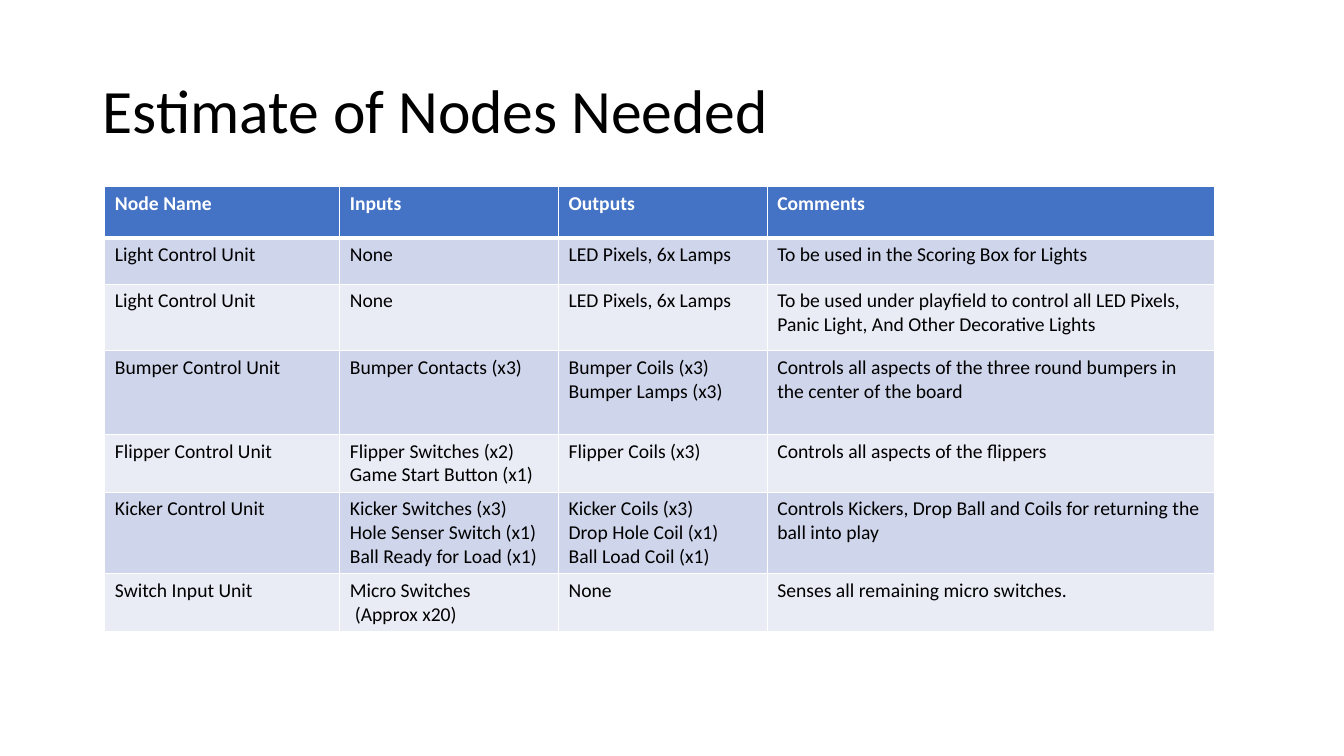
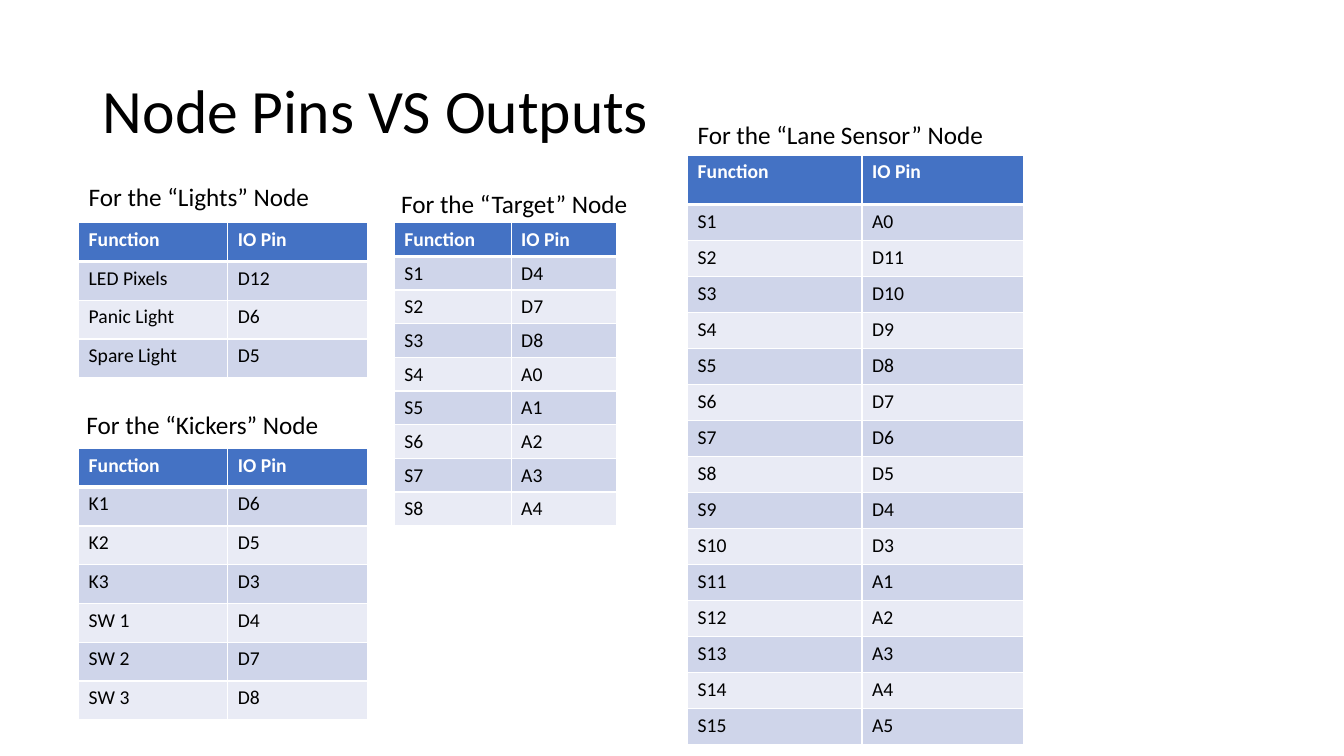
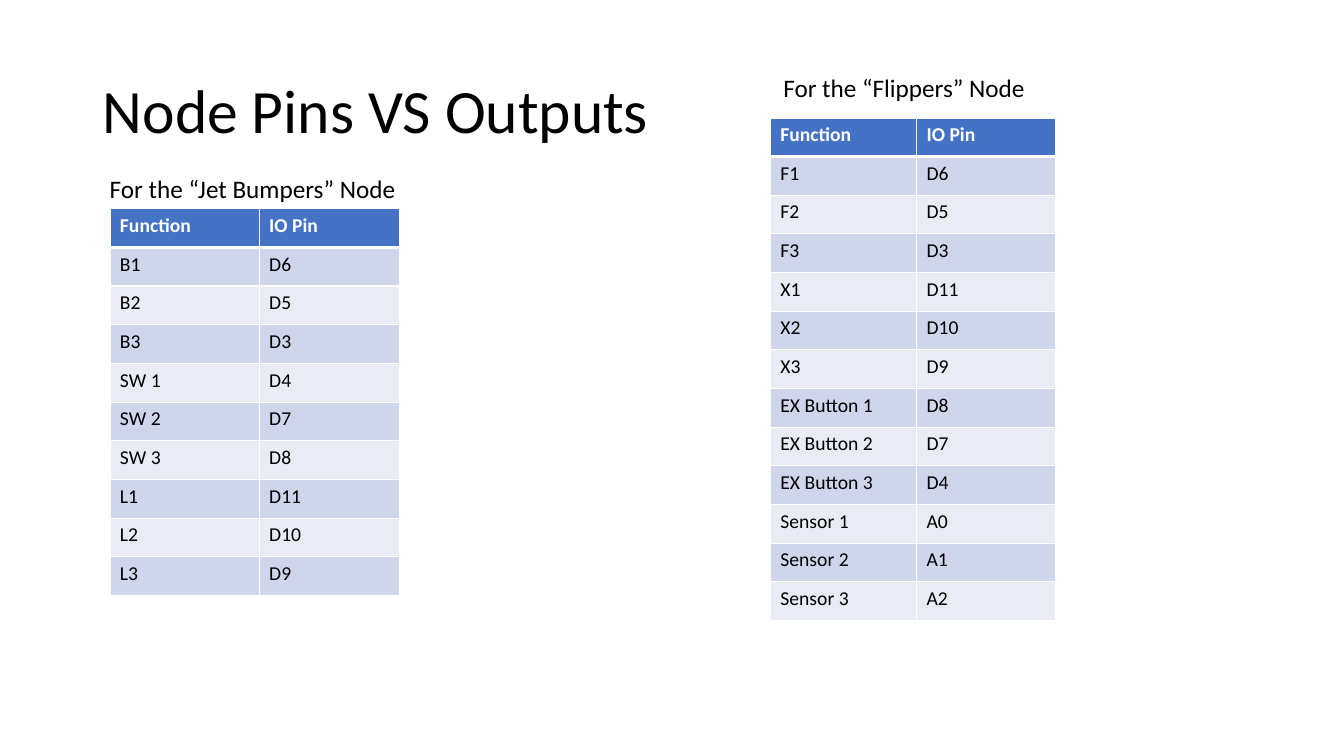
import pptx
import pptx.dml.color
import pptx.enum.text
import pptx.util
from lxml import etree
from pptx.oxml.ns import qn

Inches = pptx.util.Inches
Pt = pptx.util.Pt
RGBColor = pptx.dml.color.RGBColor

WHITE = RGBColor(0xFF, 0xFF, 0xFF)
BLACK = RGBColor(0x00, 0x00, 0x00)
HEADER_BLUE = RGBColor(0x44, 0x72, 0xC4)
BANDS = [RGBColor(0xE9, 0xEB, 0xF5), RGBColor(0xCF, 0xD5, 0xEA)]
FONT = "Calibri"
TITLE_BOX = (0.92, 0.4, 11.5, 1.45)
LABEL_HEIGHT = 0.4

NODE_COLUMNS = [2.33, 2.17, 2.07, 4.44]
NODE_ROW_HEIGHTS = [0.51, 0.46, 0.66, 0.83, 0.53, 0.75, 0.53]
NODE_ROWS = [
    ["Node Name", "Inputs", "Outputs", "Comments"],
    ["Light Control Unit", "None", "LED Pixels, 6x Lamps",
     "To be used in the Scoring Box for Lights"],
    ["Light Control Unit", "None", "LED Pixels, 6x Lamps",
     "To be used under playfield to control all LED Pixels, "
     "Panic Light, And Other Decorative Lights"],
    ["Bumper Control Unit", "Bumper Contacts (x3)",
     "Bumper Coils (x3)\nBumper Lamps (x3)",
     "Controls all aspects of the three round bumpers in the center of the board"],
    ["Flipper Control Unit", "Flipper Switches (x2)\nGame Start Button (x1)",
     "Flipper Coils (x3)", "Controls all aspects of the flippers"],
    ["Kicker Control Unit",
     "Kicker Switches (x3)\nHole Senser Switch (x1)\nBall Ready for Load (x1)",
     "Kicker Coils (x3)\nDrop Hole Coil (x1)\nBall Load Coil (x1)",
     "Controls Kickers, Drop Ball and Coils for returning the ball into play"],
    ["Switch Input Unit", "Micro Switches\n(Approx x20)", "None",
     "Senses all remaining micro switches."],
]


def style_paragraph(para, size, color, bold=False):
    para.font.name = FONT
    para.font.size = Pt(size)
    para.font.color.rgb = color
    para.font.bold = bold


def add_page(deck, title):
    page = deck.slides.add_slide(deck.slide_layouts[5])
    holder = page.shapes.title
    holder.left, holder.top, holder.width, holder.height = map(Inches, TITLE_BOX)
    frame = holder.text_frame
    frame.text = title
    frame.word_wrap = True
    frame.auto_size = pptx.enum.text.MSO_AUTO_SIZE.NONE
    frame.vertical_anchor = pptx.enum.text.MSO_ANCHOR.MIDDLE
    para = frame.paragraphs[0]
    para.alignment = pptx.enum.text.PP_ALIGN.LEFT
    para.line_spacing = 0.9
    style_paragraph(para, 44, BLACK)
    return page


def set_borders(cell, row):
    properties = cell._tc.get_or_add_tcPr()
    top = 3 if row == 1 else 1
    bottom = 3 if row == 0 else 1
    for side, width in (("L", 1), ("R", 1), ("T", top), ("B", bottom)):
        line = etree.SubElement(properties, qn(f"a:ln{side}"), w=str(Pt(width)))
        fill = etree.SubElement(line, qn("a:solidFill"))
        etree.SubElement(fill, qn("a:srgbClr"), val=str(WHITE))


def add_banded_table(page, left, top, columns, heights, rows):
    frame = page.shapes.add_table(
        len(rows), len(columns), Inches(left), Inches(top),
        Inches(sum(columns)), Inches(sum(heights)))
    table = frame.table
    for column, width in zip(table.columns, columns):
        column.width = Inches(width)
    for index, (height, texts) in enumerate(zip(heights, rows)):
        table.rows[index].height = Inches(height)
        header = index == 0
        for column, text in enumerate(texts):
            cell = table.cell(index, column)
            set_borders(cell, index)
            cell.fill.solid()
            cell.fill.fore_color.rgb = HEADER_BLUE if header else BANDS[index % 2]
            cell.text = text
            for para in cell.text_frame.paragraphs:
                style_paragraph(para, 14, WHITE if header else BLACK, header)
    return table


def add_label(page, text, left, top, width):
    box = page.shapes.add_textbox(
        Inches(left), Inches(top), Inches(width), Inches(LABEL_HEIGHT))
    frame = box.text_frame
    frame.word_wrap = False
    frame.auto_size = pptx.enum.text.MSO_AUTO_SIZE.SHAPE_TO_FIT_TEXT
    frame.text = text
    style_paragraph(frame.paragraphs[0], 18, BLACK)


def add_pin_panel(page, node, box, first_column, label, functions, pins, header=None):
    left, top, width, height = box
    shift, rise, label_width = label
    rows = [("Function", "IO Pin"), *zip(functions, pins.split())]
    header = header or height / len(rows)
    body = (height - header) / (len(rows) - 1)
    heights = [header] + [body] * (len(rows) - 1)
    add_banded_table(page, left, top, [first_column, width - first_column], heights, rows)
    add_label(page, f"For the “{node}” Node", left + shift, top - rise, label_width)


def numbered(prefix, count):
    return [f"{prefix}{number}" for number in range(1, count + 1)]


def build_estimate(deck):
    page = add_page(deck, "Estimate of Nodes Needed")
    table = add_banded_table(page, 1.04, 1.85, NODE_COLUMNS, NODE_ROW_HEIGHTS, NODE_ROWS)
    approximation = table.cell(6, 1).text_frame.paragraphs[1]
    approximation._p.get_or_add_pPr().set("marL", str(Inches(0.05)))


def build_switch_pins(deck):
    page = add_page(deck, "Node Pins VS Outputs")
    add_pin_panel(page, "Lights", (0.78, 2.21, 2.87, 1.54), 1.48, (0, 0.46, 2.42),
                  ["LED Pixels", "Panic Light", "Spare Light"], "D12 D6 D5")
    add_pin_panel(page, "Target", (3.91, 2.21, 2.21, 3), 1.16, (-0.03, 0.39, 2.47),
                  numbered("S", 8), "D4 D7 D8 A0 A1 A2 A3 A4")
    add_pin_panel(page, "Lane Sensor", (6.82, 1.54, 3.33, 5.85), 1.73, (0, 0.41, 3.07),
                  numbered("S", 15),
                  "A0 D11 D10 D9 D8 D7 D6 D5 D4 D3 A1 A2 A3 A4 A5", header=0.49)
    add_pin_panel(page, "Kickers", (0.78, 4.45, 2.87, 2.69), 1.48, (-0.02, 0.44, 2.53),
                  numbered("K", 3) + numbered("SW ", 3), "D6 D5 D3 D4 D7 D8")


def build_bumper_pins(deck):
    page = add_page(deck, "Node Pins VS Outputs")
    add_pin_panel(page, "Jet Bumpers", (1.09, 2.07, 2.87, 3.84), 1.48, (-0.1, 0.4, 3.07),
                  numbered("B", 3) + numbered("SW ", 3) + numbered("L", 3),
                  "D6 D5 D3 D4 D7 D8 D11 D10 D9")
    add_pin_panel(page, "Flippers", (7.64, 1.17, 2.83, 4.99), 1.45, (0.03, 0.5, 2.62),
                  numbered("F", 3) + numbered("X", 3)
                  + numbered("EX Button ", 3) + numbered("Sensor ", 3),
                  "D6 D5 D3 D11 D10 D9 D8 D7 D4 A0 A1 A2")


def main():
    deck = pptx.Presentation()
    deck.slide_width = Inches(13.33)
    deck.slide_height = Inches(7.5)
    build_estimate(deck)
    build_switch_pins(deck)
    build_bumper_pins(deck)
    deck.save("out.pptx")


if __name__ == "__main__":
    main()
